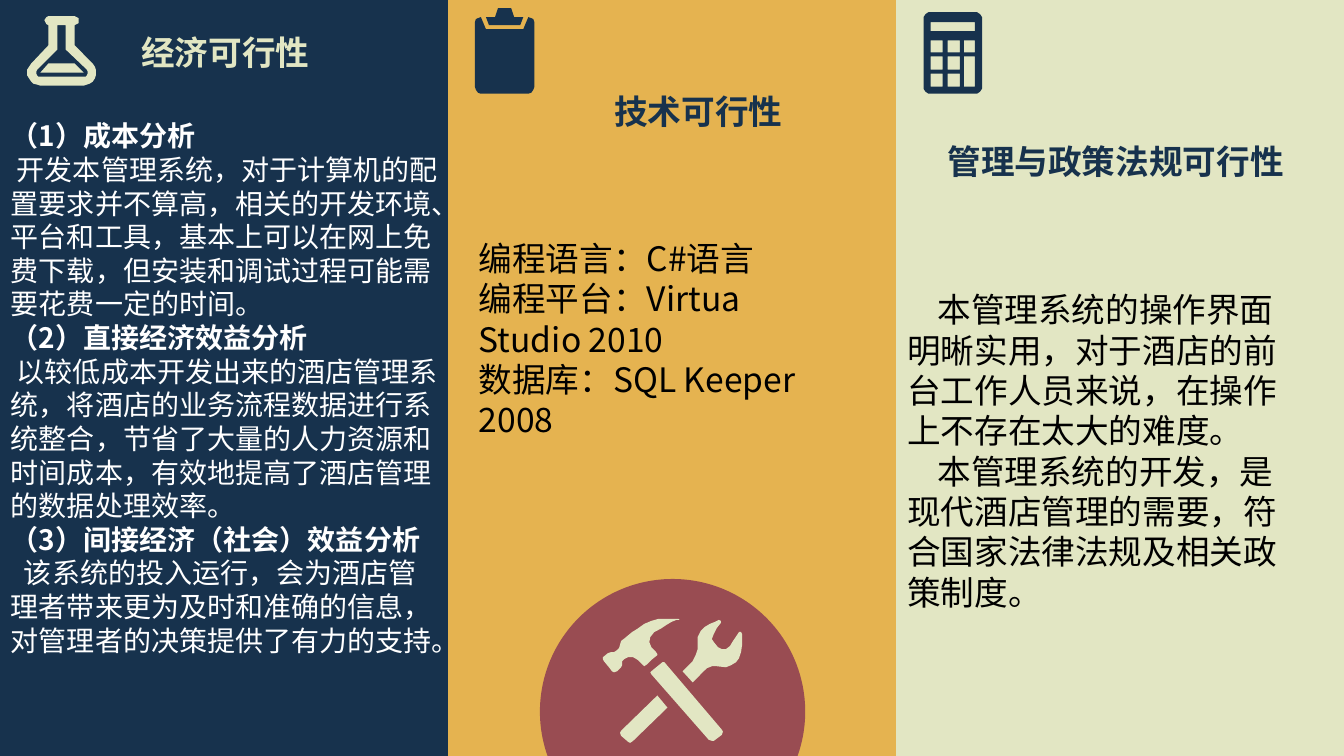
import pptx
import pptx.dml.color
import pptx.enum.shapes
import pptx.enum.text
import pptx.oxml.ns
import pptx.util
from lxml import etree

WIDTH, HEIGHT = 13.33, 7.5
COLUMN = WIDTH / 3
COLORS = {"navy": "17324D", "gold": "E5B350", "cream": "E2E6C3",
          "wine": "994C52", "white": "FFFFFF", "black": "000000"}
BODY_FONT = "Noto Sans CJK SC"


def rectangle(left, top, width, height):
    return [(left, top), (left + width, top),
            (left + width, top + height), (left, top + height)]


def rounded(left, top, right, bottom):
    """Outline of a box whose corners are softened in three steps."""
    return [(left, top + 5), (left + 2, top + 2), (left + 5, top),
            (right - 5, top), (right - 2, top + 2), (right, top + 5),
            (right, bottom - 5), (right - 2, bottom - 2), (right - 5, bottom),
            (left + 5, bottom), (left + 2, bottom - 2), (left, bottom - 5)]


# Icon contours, in hundredths of an inch on the slide
CALCULATOR = [
    rounded(916, 12, 974, 93),
    rectangle(923, 22, 44, 9),
    *[rectangle(left, top, 12, 12.5) for left in (923, 940) for top in (40, 56.5, 73)],
    rectangle(956, 40, 11, 12.5),
    rectangle(956, 56.5, 11, 29),
]
CLIPBOARD = [
    [(477, 17), (482, 29), (519, 29), (524, 17), (527, 18), (529, 19), (530, 22),
     (530, 86), (529, 89), (527, 92), (524, 93), (477, 93), (474, 92), (472, 89),
     (471, 86), (471, 22), (472, 19), (474, 18)],
    [(494, 8), (507, 8), (510, 17), (519, 17), (516, 25), (485, 25), (482, 17), (491, 17)],
]
FLASK = [
    [(48, 63), (74, 63), (83, 72), (40, 72)],
    [(57, 25), (57, 49), (37, 69), (36, 71), (36, 73), (37, 75), (38, 76), (40, 76),
     (83, 76), (85, 76), (86, 75), (87, 73), (87, 71), (86, 69), (65, 49), (65, 25)],
    [(48, 16), (74, 16), (76, 17), (78, 18), (78, 23), (76, 24), (74, 25), (74, 45),
     (92, 63), (94, 66), (95, 69), (95, 75), (94, 78), (92, 81), (89, 83), (86, 84),
     (83, 85), (40, 85), (37, 84), (33, 83), (31, 81), (29, 78), (27, 75), (27, 69),
     (29, 66), (31, 63), (48, 45), (48, 25), (46, 24), (44, 20), (46, 17)],
]
TOOLS = [
    [(652, 690), (662, 702), (628, 735), (625, 737), (623, 736), (616, 730),
     (615, 727), (616, 725)],
    [(657, 657), (659, 657), (716, 724), (717, 726), (716, 729), (708, 735),
     (706, 735), (703, 734), (646, 669), (645, 667), (646, 666)],
    [(713, 615), (715, 616), (715, 618), (711, 623), (708, 629), (706, 634), (708, 637),
     (712, 642), (716, 644), (720, 644), (724, 641), (727, 636), (731, 630), (733, 627),
     (735, 627), (736, 629), (736, 640), (735, 647), (733, 653), (730, 657), (725, 660),
     (720, 662), (711, 661), (706, 661), (701, 663), (698, 666), (687, 677), (677, 666),
     (687, 656), (690, 650), (692, 644), (692, 632), (695, 626), (699, 622), (704, 619),
     (709, 617)],
    [(656, 614), (673, 614), (674, 615), (671, 615), (666, 617), (661, 620), (655, 624),
     (649, 627), (645, 632), (644, 637), (646, 642), (650, 646), (652, 649), (652, 650),
     (647, 654), (642, 659), (639, 661), (638, 660), (633, 655), (628, 652), (623, 652),
     (619, 654), (617, 656), (617, 660), (616, 662), (612, 666), (609, 667), (607, 666),
     (604, 662), (599, 656), (598, 654), (598, 652), (603, 648), (606, 647), (609, 647),
     (612, 645), (614, 643), (616, 636), (621, 632), (627, 627), (632, 624), (639, 619),
     (646, 616), (653, 614)],
]

# column, fill, ink, title, title box, icon
PANELS = [
    (2, "cream", "navy", "管理与政策法规可行性", (9.11, 1.35, 3.91, 0.5), CALCULATOR),
    (1, "gold", "navy", "技术可行性", (4.97, 0.85, 3.91, 0.5), CLIPBOARD),
    (0, "navy", "cream", "经济可行性", (0.78, 0.27, 2.91, 0.5), FLASK),
]
# box, size, colour, paragraphs of (text, bold, first-line indent)
BODIES = [
    ((0.01, 1.13, 4.44, 5.49), 20, "white", [
        ("（1）成本分析", True, 0),
        ("开发本管理系统，对于计算机的配置要求并不算高，相关的开发环境、平台和工具，"
         "基本上可以在网上免费下载，但安装和调试过程可能需要花费一定的时间。", False, 0.06),
        ("（2）直接经济效益分析", True, 0),
        ("以较低成本开发出来的酒店管理系统，将酒店的业务流程数据进行系统整合，"
         "节省了大量的人力资源和时间成本，有效地提高了酒店管理的数据处理效率。", False, 0.06),
        ("（3）间接经济（社会）效益分析", True, 0),
        ("该系统的投入运行，会为酒店管理者带来更为及时和准确的信息，"
         "对管理者的决策提供了有力的支持。", False, 0.13)]),
    ((4.65, 2.31, 4.02, 2.12), 24, "black", [
        ("编程语言：C#语言", False, 0),
        ("编程平台：Virtua\vStudio 2010", False, 0),
        ("数据库：SQL Keeper 2008", False, 0)]),
    ((8.9, 2.82, 4.13, 3.33), 24, "black", [
        ("本管理系统的操作界面明晰实用，对于酒店的前台工作人员来说，"
         "在操作上不存在太大的难度。", False, 0.3),
        ("本管理系统的开发，是现代酒店管理的需要，符合国家法律法规及相关政策制度。", False, 0.3)]),
]


def paint(shape, color):
    shape.shadow.inherit = False
    shape.fill.solid()
    shape.fill.fore_color.rgb = pptx.dml.color.RGBColor.from_string(COLORS[color])
    shape.line.fill.background()


def add_preset(parent, kind, place, color):
    shape = parent.add_shape(kind, *map(pptx.util.Inches, place))
    paint(shape, color)
    return shape


def add_icon(parent, contours, color):
    builder = parent.build_freeform(*contours[0][0], scale=pptx.util.Inches(0.01))
    for number, contour in enumerate(contours):
        if number:
            builder.move_to(*contour[0])
        builder.add_line_segments(contour[1:], close=True)
    paint(builder.convert_to_shape(), color)


def add_text(parent, place, paragraphs, *, size, color, font=BODY_FONT, align="LEFT"):
    box = parent.add_textbox(*map(pptx.util.Inches, place))
    frame = box.text_frame
    frame.word_wrap = True
    frame.auto_size = pptx.enum.text.MSO_AUTO_SIZE.SHAPE_TO_FIT_TEXT
    for number, (text, bold, indent) in enumerate(paragraphs):
        para = frame.paragraphs[0] if number == 0 else frame.add_paragraph()
        para.text = text
        para.alignment = getattr(pptx.enum.text.PP_ALIGN, align)
        if indent:
            para._p.get_or_add_pPr().set("indent", str(pptx.util.Inches(indent)))
        for span in para.runs:
            span.font.name = font
            span.font.size = pptx.util.Pt(size)
            span.font.bold = bold
            span.font.color.rgb = pptx.dml.color.RGBColor.from_string(COLORS[color])
            east_asian = etree.SubElement(span.font._element, pptx.oxml.ns.qn("a:ea"))
            east_asian.set("typeface", BODY_FONT)


def main():
    deck = pptx.Presentation()
    deck.slide_width = pptx.util.Inches(WIDTH)
    deck.slide_height = pptx.util.Inches(HEIGHT)
    page = deck.slides.add_slide(deck.slide_layouts[6])
    kinds = pptx.enum.shapes.MSO_SHAPE

    for column, fill, ink, title, title_place, icon in PANELS:
        panel = page.shapes.add_group_shape().shapes
        add_preset(panel, kinds.RECTANGLE, (column * COLUMN, 0, COLUMN, HEIGHT), fill)
        add_text(panel, title_place, [(title, True, 0)],
                 size=24, color=ink, font="Calibri", align="CENTER")
        add_icon(panel, icon, ink)

    badge = add_preset(page.shapes, kinds.CHORD, (5.37, 5.76, 2.6, 2.6), "wine")
    badge.rotation = 112.5
    badge.line.color.rgb = pptx.dml.color.RGBColor.from_string(COLORS["wine"])
    badge.line.width = pptx.util.Pt(2.25)
    add_icon(page.shapes, TOOLS, "cream")

    for place, size, color, paragraphs in BODIES:
        add_text(page.shapes, place, paragraphs, size=size, color=color)

    deck.save("out.pptx")


if __name__ == "__main__":
    main()
